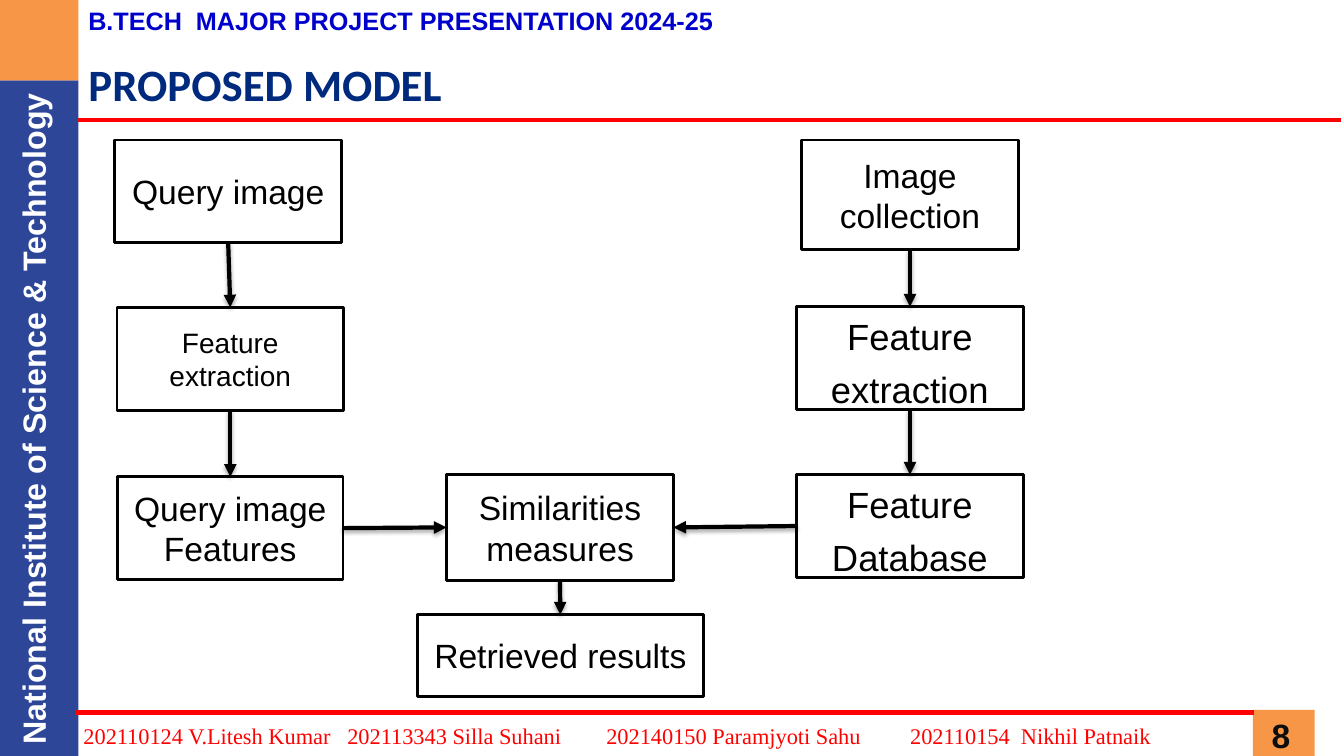
"""Build the proposed model slide: a flow chart of image retrieval."""
from lxml.etree import SubElement
from pptx import Presentation
from pptx.dml.color import RGBColor
from pptx.enum.shapes import MSO_CONNECTOR as CONN, MSO_SHAPE as SHAPE
from pptx.enum.text import MSO_ANCHOR as ANCHOR, PP_ALIGN as ALIGN
from pptx.oxml.ns import qn
from pptx.util import Pt

WHITE = RGBColor(0xFF, 0xFF, 0xFF)
BLACK = RGBColor(0, 0, 0)
RED = RGBColor(0xFF, 0, 0)
ORANGE = RGBColor(0xF7, 0x96, 0x46)
SIDEBAR = RGBColor(0x2E, 0x46, 0x98)
HEADER = RGBColor(0, 0, 0xCC)
NAVY = RGBColor(0, 0x2A, 0x7E)
NUMBER = RGBColor(0x0D, 0x0D, 0x0D)

TOP, LEFT, BOTTOM, RIGHT = range(4)
BOXES = {
    "query": ("Query image", 82, 100, 162, 73.5, 24, 1),
    "query_extraction": ("Feature extraction", 83.5, 219.5, 162, 73.5, 20, 1),
    "query_features": ("Query image\nFeatures", 84, 340.5, 161, 73.5, 24, 1),
    "similarity": ("Similarities measures", 319, 339, 162, 75.5, 24, 1),
    "results": ("Retrieved results", 298, 439, 204.5, 58.5, 24, 1),
    "collection": ("Image collection", 572.5, 100, 155, 78.5, 24, 1),
    "extraction": ("Feature extraction", 569, 219, 162, 73.5, 26, 1.2),
    "database": ("Feature Database", 569, 339, 162, 73.5, 26, 1.2),
}
ARROWS = [
    ("query", BOTTOM, "query_extraction", TOP),
    ("query_extraction", BOTTOM, "query_features", TOP),
    ("query_features", RIGHT, "similarity", LEFT),
    ("collection", BOTTOM, "extraction", TOP),
    ("extraction", BOTTOM, "database", TOP),
    ("database", LEFT, "similarity", RIGHT),
    ("similarity", BOTTOM, "results", TOP),
]
STUDENTS = ["202110124 V.Litesh Kumar", "202113343 Silla Suhani",
            "202140150 Paramjyoti Sahu", "202110154  Nikhil Patnaik"]
STUDENT_TABS = [188.5, 373.5, 590.5]


def write(tf, text, size, color, font="Arial", bold=False, align=ALIGN.LEFT, spacing=None):
    """Fill a text frame and format all its runs."""
    tf.text = text
    for p in tf.paragraphs:
        p.alignment = align
        p.line_spacing = spacing
        for r in p.runs:
            r.font.name, r.font.size, r.font.bold = font, Pt(size), bold
            r.font.color.rgb = color


def add_rect(slide, x, y, w, h, fill):
    """Add a plain filled rectangle."""
    sp = slide.shapes.add_shape(SHAPE.RECTANGLE, Pt(x), Pt(y), Pt(w), Pt(h))
    sp.shadow.inherit = False
    sp.fill.solid()
    sp.fill.fore_color.rgb = fill
    sp.line.fill.background()
    return sp


def add_text(slide, x, y, w, h, text, size, color, wrap=True, **style):
    """Add a text box."""
    sp = slide.shapes.add_textbox(Pt(x), Pt(y), Pt(w), Pt(h))
    sp.text_frame.word_wrap = wrap
    write(sp.text_frame, text, size, color, **style)
    return sp


def add_box(slide, text, x, y, w, h, size, spacing):
    """Add an outlined flow chart box."""
    sp = add_rect(slide, x, y, w, h, WHITE)
    sp.line.color.rgb = BLACK
    sp.line.width = Pt(2)
    sp.text_frame.word_wrap = True
    sp.text_frame.vertical_anchor = ANCHOR.MIDDLE
    write(sp.text_frame, text, size, BLACK, align=ALIGN.CENTER, spacing=spacing)
    return sp


def add_line(slide, x1, y1, x2, y2, color, width):
    """Add a straight line and return it with its empty effect list."""
    line = slide.shapes.add_connector(CONN.STRAIGHT, Pt(x1), Pt(y1), Pt(x2), Pt(y2))
    line.line.color.rgb = color
    line.line.width = Pt(width)
    effects = SubElement(line._element.spPr, qn("a:effectLst"))
    return line, effects


def add_arrow(slide, start, start_side, end, end_side):
    """Join two boxes with a softly shadowed arrow."""
    line, effects = add_line(slide, 0, 0, 0, 0, BLACK, 3)
    line.begin_connect(start, start_side)
    line.end_connect(end, end_side)
    SubElement(line.line._get_or_add_ln(), qn("a:tailEnd"), type="triangle")
    shadow = SubElement(effects, qn("a:outerShdw"), blurRad=str(Pt(3.1)),
                        dist=str(Pt(1.8)), dir="5400000", rotWithShape="0")
    color = SubElement(shadow, qn("a:srgbClr"), val=str(BLACK))
    SubElement(color, qn("a:alpha"), val="35000")


def add_title(slide, text):
    """Place and format the title placeholder."""
    sp = slide.shapes.title
    sp.left, sp.top, sp.width, sp.height = Pt(56), Pt(36), Pt(792), Pt(48)
    sp.text_frame.vertical_anchor = ANCHOR.MIDDLE
    write(sp.text_frame, text, 32, NAVY, font="Calibri", bold=True)


def add_frame(slide):
    """Add the sidebar, header, rules and page number."""
    add_rect(slide, 895, 507, 44, 33, ORANGE)
    add_rect(slide, 0, 57.5, 56, 482.5, SIDEBAR)
    name = add_text(slide, -234.5, 281.5, 517, 35.5,
                    "National Institute of Science & Technology",
                    23, WHITE, bold=True, align=ALIGN.CENTER)
    name.rotation = 270
    add_rect(slide, 0, 0, 56, 57.5, ORANGE)
    add_line(slide, 53.5, 509, 896, 509, RED, 3)
    add_line(slide, 55.5, 85.7, 958, 85.7, RED, 2.75)
    add_text(slide, 56, 0, 465, 29.5, "B.TECH  MAJOR PROJECT PRESENTATION 2024-25",
             18, HEADER, wrap=False, bold=True)
    add_text(slide, 879, 507, 72, 33, "8", 24, NUMBER, bold=True, align=ALIGN.CENTER)


def add_students(slide):
    """Add the student names, set apart by tab stops."""
    sp = add_text(slide, 52.5, 512, 907, 26.5, "\t".join(STUDENTS), 16, RED,
                  font="Times New Roman")
    stops = SubElement(sp.text_frame.paragraphs[0]._p.get_or_add_pPr(), qn("a:tabLst"))
    for pos in STUDENT_TABS:
        SubElement(stops, qn("a:tab"), pos=str(Pt(pos)), algn="l")


def main():
    """Build and save the slide."""
    prs = Presentation()
    prs.slide_width, prs.slide_height = Pt(960), Pt(540)
    slide = prs.slides.add_slide(prs.slide_layouts[5])
    add_frame(slide)
    add_title(slide, "PROPOSED MODEL")
    boxes = {key: add_box(slide, *box) for key, box in BOXES.items()}
    for start, start_side, end, end_side in ARROWS:
        add_arrow(slide, boxes[start], start_side, boxes[end], end_side)
    add_students(slide)
    prs.save("out.pptx")


if __name__ == "__main__":
    main()
